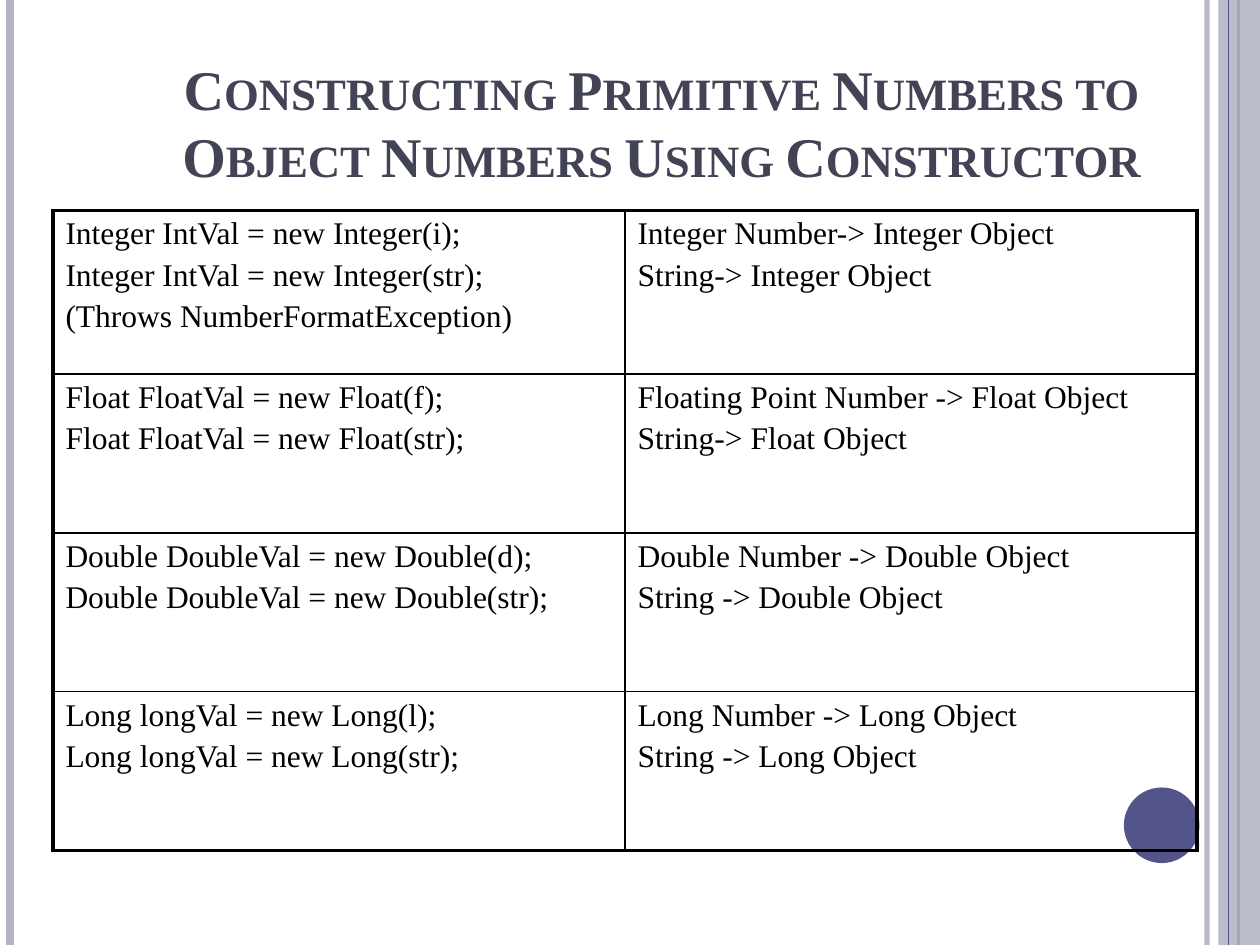
from lxml import etree
from pptx import Presentation
from pptx.dml.color import RGBColor
from pptx.enum.shapes import MSO_CONNECTOR, MSO_SHAPE
from pptx.enum.text import MSO_ANCHOR, PP_ALIGN
from pptx.oxml.ns import qn
from pptx.util import Inches, Pt

LINE = MSO_CONNECTOR.STRAIGHT
RECT, OVAL = MSO_SHAPE.RECTANGLE, MSO_SHAPE.OVAL
LEFT, CENTER = PP_ALIGN.LEFT, PP_ALIGN.CENTER
BOTTOM = MSO_ANCHOR.BOTTOM
FONT = "Times New Roman"
PALE, DEEP, INK, BLACK = "B3B4C4", "53548A", "424456", "000000"
THIN, THICK = 1, 2.25

ROWS = [
    (["Integer IntVal = new Integer(i);", "Integer IntVal = new Integer(str);",
      "(Throws NumberFormatException)"],
     ["Integer Number-> Integer Object", "String-> Integer Object"]),
    (["Float FloatVal = new Float(f);", "Float FloatVal = new Float(str);"],
     ["Floating Point Number -> Float Object", "String-> Float Object"]),
    (["Double DoubleVal = new Double(d);", "Double DoubleVal = new Double(str);"],
     ["Double Number -> Double Object", "String -> Double Object"]),
    (["Long longVal = new Long(l);", "Long longVal = new Long(str);"],
     ["Long Number -> Long Object", "String -> Long Object"]),
]


def paint(fill, color, alpha=100):
    """Make a fill solid in a hex colour, with opacity in percent."""
    fill.solid()
    fill.fore_color.rgb = RGBColor.from_string(color)
    if alpha < 100:
        node = next(fill._xPr.iter(qn("a:srgbClr")))
        etree.SubElement(node, qn("a:alpha"), val=str(alpha * 1000))


def write(frame, lines, size=18, color=BLACK, bold=False, caps=False,
          align=LEFT, gap=0):
    """Write lines as paragraphs; gap is space before in percent."""
    frame.word_wrap = True
    for i, line in enumerate(lines):
        para = frame.add_paragraph() if i else frame.paragraphs[0]
        para.alignment = align
        if gap:
            space = etree.SubElement(para._p.get_or_add_pPr(), qn("a:spcBef"))
            etree.SubElement(space, qn("a:spcPct"), val=str(gap * 1000))
        run = para.add_run()
        run.text = line
        font = run.font
        font.name, font.size, font.bold = FONT, Pt(size), bold
        paint(font.fill, color)
        if caps:
            font._element.set("cap", "small")


def rule(slide, x, top, height, color, width, alpha=100):
    """Draw an upright line."""
    line = slide.shapes.add_connector(
        LINE, Inches(x), Inches(top), Inches(x), Inches(top + height))
    line.line.width = Pt(width)
    paint(line.line.fill, color, alpha)
    etree.SubElement(line._element.spPr, qn("a:effectLst"))


def block(slide, kind, box, color, alpha=100):
    """Draw a filled shape without outline."""
    shape = slide.shapes.add_shape(kind, *map(Inches, box))
    shape.shadow.inherit = False
    shape.line.fill.background()
    paint(shape.fill, color, alpha)


def frame(slide, box):
    """Draw the edge bands and the disc inside the page box."""
    left, top, width, height = box
    right = left + width
    rule(slide, right - 0.42, top, height, PALE, 3, 93)
    rule(slide, left + 0.08, top, height, PALE, 4.5)
    rule(slide, right - 0.17, top, height, DEEP, 1.5)
    block(slide, RECT, (right - 0.33, top, 0.33, height), PALE, 87)
    rule(slide, right - 0.25, top, height, DEEP, 0.75)
    block(slide, OVAL, (right - 1.08, top + height - 1.25, 0.6, 0.6), DEEP)


def title(slide, box, text):
    """Place the heading at the bottom of its box."""
    area = slide.shapes.add_textbox(*map(Inches, box)).text_frame
    area.vertical_anchor = BOTTOM
    write(area, [text], size=32, color=INK, bold=True, caps=True, align=CENTER)


def border(cell, widths):
    """Set cell borders from widths in order left, right, top, bottom."""
    props = cell._tc.get_or_add_tcPr()
    for i, (side, width) in enumerate(zip("LRTB", widths)):
        edge = etree.Element(qn("a:ln" + side), w=str(Pt(width)))
        solid = etree.SubElement(edge, qn("a:solidFill"))
        etree.SubElement(solid, qn("a:srgbClr"), val=BLACK)
        props.insert(i, edge)


def grid(slide, box, rows):
    """Place the table with a thick outer edge and thin inner lines."""
    count, wide = len(rows), len(rows[0])
    table = slide.shapes.add_table(count, wide, *map(Inches, box)).table
    table.first_row = table.horz_banding = False
    for col in table.columns:
        col.width = Inches(box[2] / wide)
    for r, row in enumerate(rows):
        # The first row holds three lines and is a little taller.
        table.rows[r].height = Inches(1.26 if r else 1.3)
        for c, lines in enumerate(row):
            cell = table.cell(r, c)
            cell.fill.background()
            outer = (c == 0, c == wide - 1, r == 0, r == count - 1)
            border(cell, [THICK if out else THIN for out in outer])
            write(cell.text_frame, lines, gap=20)


def build():
    """Build and save the slide."""
    deck = Presentation()
    deck.slide_width, deck.slide_height = Inches(10), Inches(7.5)
    slide = deck.slides.add_slide(deck.slide_layouts[6])
    paint(slide.background.fill, "FFFFFF")
    frame(slide, (0, 0, 10, 7.5))
    title(slide, (1, 0.3, 8.5, 1.25),
          "Constructing Primitive Numbers to Object Numbers Using Constructor")
    grid(slide, (0.42, 1.67, 9.08, 5.08), ROWS)
    deck.save("out.pptx")


build()
